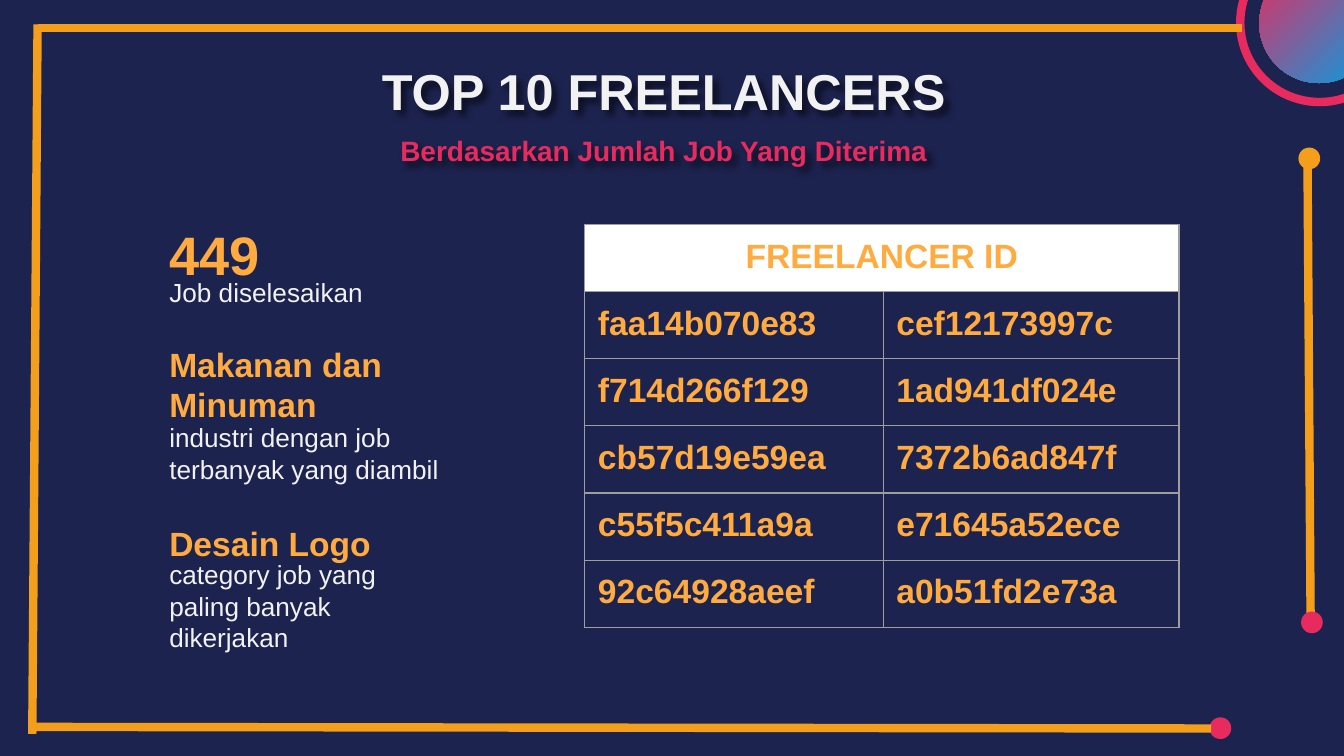
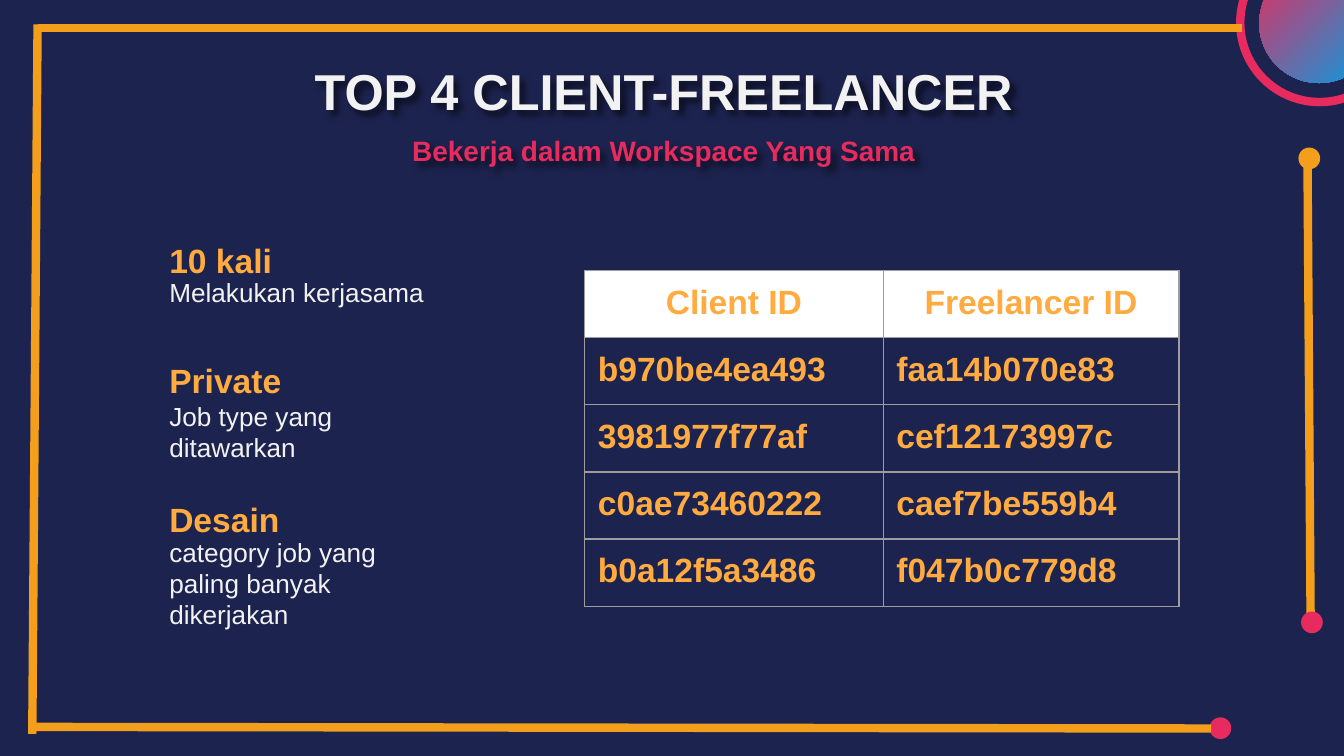
from lxml.etree import SubElement
from pptx import Presentation
from pptx.dml.color import RGBColor
from pptx.enum.shapes import MSO_CONNECTOR as Connector, MSO_SHAPE as Shape
from pptx.enum.text import MSO_ANCHOR as Anchor, MSO_AUTO_SIZE as AutoSize, PP_ALIGN as Align
from pptx.oxml.ns import qn
from pptx.util import Cm, Pt

NAVY = RGBColor(0x1D, 0x23, 0x4F)
ORANGE = RGBColor(0xF4, 0x9F, 0x1B)
AMBER = RGBColor(0xFF, 0xAB, 0x40)
PINK = RGBColor(0xE7, 0x2B, 0x5E)
BLUE = RGBColor(0x00, 0xA1, 0xE5)
PALE = RGBColor(0xF3, 0xF2, 0xF2)
WHITE = RGBColor(0xFF, 0xFF, 0xFF)
BORDER_HEX = "9E9E9E"

TITLE = dict(name="Arial", size=Pt(27), bold=True, color=PALE)
SUBTITLE = TITLE | dict(size=Pt(15), color=PINK)
HEADING = dict(name="Arial", size=Pt(18), bold=True, color=AMBER)
BIG_NUMBER = HEADING | dict(size=Pt(29))
CAPTION = dict(name="Arial", size=Pt(14), bold=False, color=PALE)

# Each stat: heading, its format, heading top, caption, caption top (cm)
SLIDES = [
    dict(
        title="TOP 10 FREELANCERS",
        subtitle="Berdasarkan Jumlah Job Yang Diterima",
        stats=[
            ("449", BIG_NUMBER, 3.94, "Job diselesaikan", 4.98),
            ("Makanan dan Minuman", HEADING, 6.25,
             "industri dengan job terbanyak yang diambil", 7.72),
            ("Desain Logo", HEADING, 9.63,
             "category job yang paling banyak dikerjakan", 10.31),
        ],
        table_top=4.24,
        header=["FREELANCER ID"],
        ids=[
            ("faa14b070e83", "cef12173997c"),
            ("f714d266f129", "1ad941df024e"),
            ("cb57d19e59ea", "7372b6ad847f"),
            ("c55f5c411a9a", "e71645a52ece"),
            ("92c64928aeef", "a0b51fd2e73a"),
        ],
    ),
    dict(
        title="TOP 4 CLIENT-FREELANCER",
        subtitle="Bekerja dalam Workspace Yang Sama",
        stats=[
            ("10 kali", HEADING, 4.29, "Melakukan kerjasama", 4.98),
            ("Private", HEADING, 6.55, "Job type yang ditawarkan", 7.32),
            ("Desain", HEADING, 9.19,
             "category job yang paling banyak dikerjakan", 9.88),
        ],
        table_top=5.11,
        header=["Client ID", "Freelancer ID"],
        ids=[
            ("b970be4ea493", "faa14b070e83"),
            ("3981977f77af", "cef12173997c"),
            ("c0ae73460222", "caef7be559b4"),
            ("b0a12f5a3486", "f047b0c779d8"),
        ],
    ),
]

# Heading width, caption width, caption height for each stat from the top (cm)
STAT_SIZES = [(3.71, 5.44, 1.12), (4.95, 5.79, 1.7), (5.18, 4.62, 2.31)]
STAT_LEFT, HEADING_HEIGHT = 2.95, 1.63
TABLE_LEFT, COLUMN_WIDTHS, ROW_HEIGHT = 11.05, (5.64, 5.59), 1.27
INSET = 0.25
MARGINS = ("margin_left", "margin_top", "margin_right", "margin_bottom")

RAIL = (24.77, 11.86, 24.71, 3.02)
FRAME = [
    (0.64, 13.74, 22.89, 13.77),
    (0.71, 0.53, 23.47, 0.53),
    (0.61, 13.87, 0.71, 0.46),
]
DOTS = [(24.54, 2.79, ORANGE), (24.59, 11.56, PINK), (22.86, 13.56, PINK)]
DOT_SIZE = 0.41


def write(paragraph, text, style, align=Align.LEFT):
    paragraph.alignment = align
    run = paragraph.add_run()
    run.text = text
    for key, value in style.items():
        if key == "color":
            run.font.color.rgb = value
        else:
            setattr(run.font, key, value)


def set_frame(frame):
    frame.word_wrap = True
    frame.auto_size = AutoSize.NONE
    frame.vertical_anchor = Anchor.TOP
    for margin in MARGINS:
        setattr(frame, margin, Cm(INSET))


def add_text(slide, text, style, *box):
    frame = slide.shapes.add_textbox(*map(Cm, box)).text_frame
    set_frame(frame)
    write(frame.paragraphs[0], text, style)


def add_title(slide, title, subtitle):
    holder = slide.shapes.title
    for side, length in dict(left=5.46, top=0.89, width=14.17, height=1.63).items():
        setattr(holder, side, Cm(length))
    frame = holder.text_frame
    set_frame(frame)
    write(frame.paragraphs[0], title, TITLE, Align.CENTER)
    second = frame.add_paragraph()
    second.space_before = Pt(7)
    write(second, subtitle, SUBTITLE, Align.CENTER)
    effects = SubElement(holder.element.spPr, qn("a:effectLst"))
    shadow = SubElement(effects, qn("a:outerShdw"), blurRad="50800", dist="38100",
                        dir="2700000", algn="tl", rotWithShape="0")
    black = SubElement(shadow, qn("a:srgbClr"), val="000000")
    SubElement(black, qn("a:alpha"), val="60000")


def add_circle(slide, left, top, size):
    circle = slide.shapes.add_shape(Shape.OVAL, Cm(left), Cm(top), Cm(size), Cm(size))
    circle.shadow.inherit = False
    circle.line.fill.background()
    return circle


def add_bar(slide, *ends):
    bar = slide.shapes.add_connector(Connector.STRAIGHT, *map(Cm, ends))
    bar.line.color.rgb = ORANGE
    bar.line.width = Pt(4.5)
    SubElement(bar.element.spPr, qn("a:effectLst"))


def add_decoration(slide):
    ring = add_circle(slide, 23.44, -1.07, 3)
    ring.fill.background()
    ring.line.color.rgb = PINK
    ring.line.width = Pt(4.5)
    add_bar(slide, *RAIL)
    disc = add_circle(slide, 23.8, -0.69, 2.26)
    disc.fill.gradient()
    disc.fill.gradient_angle = 135
    for stop, color in zip(disc.fill.gradient_stops, (BLUE, PINK)):
        stop.color.rgb = color
    for left, top, color in DOTS:
        dot = add_circle(slide, left, top, DOT_SIZE)
        dot.fill.solid()
        dot.fill.fore_color.rgb = color
    for ends in FRAME:
        add_bar(slide, *ends)


def add_stats(slide, stats):
    for stat, sizes in zip(stats, STAT_SIZES):
        heading, style, heading_top, caption, caption_top = stat
        heading_width, caption_width, caption_height = sizes
        add_text(slide, heading, style, STAT_LEFT, heading_top, heading_width, HEADING_HEIGHT)
        add_text(slide, caption, CAPTION, STAT_LEFT, caption_top, caption_width, caption_height)


def add_borders(cell):
    """Must run before the cell's fill is set, as borders come first in the XML."""
    properties = cell._tc.get_or_add_tcPr()
    for side in ("lnL", "lnR", "lnT", "lnB"):
        line = SubElement(properties, qn(f"a:{side}"), w=str(Pt(0.75)))
        SubElement(SubElement(line, qn("a:solidFill")), qn("a:srgbClr"), val=BORDER_HEX)


def add_id_table(slide, top, header, ids):
    rows = [header, *ids]
    table = slide.shapes.add_table(
        len(rows), len(COLUMN_WIDTHS), Cm(TABLE_LEFT), Cm(top),
        Cm(sum(COLUMN_WIDTHS)), Cm(ROW_HEIGHT * len(rows))).table
    table.horz_banding = False
    for column, width in zip(table.columns, COLUMN_WIDTHS):
        column.width = Cm(width)
    for row in table.rows:
        row.height = Cm(ROW_HEIGHT)
    for cell in table.iter_cells():
        add_borders(cell)
        cell.fill.background()
        for margin in MARGINS:
            setattr(cell, margin, Cm(INSET))
    for r, texts in enumerate(rows):
        for c, text in enumerate(texts):
            align = Align.LEFT if r else Align.CENTER
            write(table.cell(r, c).text_frame.paragraphs[0], text, HEADING, align)
    for cell in table.rows[0].cells:
        cell.fill.solid()
        cell.fill.fore_color.rgb = WHITE
    if len(header) == 1:
        table.cell(0, 0).merge(table.cell(0, len(COLUMN_WIDTHS) - 1))


def main():
    deck = Presentation()
    deck.slide_width, deck.slide_height = Cm(25.4), Cm(14.29)
    background = deck.slide_master.background.fill
    background.solid()
    background.fore_color.rgb = NAVY
    title_only = deck.slide_layouts.get_by_name("Title Only")
    for content in SLIDES:
        slide = deck.slides.add_slide(title_only)
        add_title(slide, content["title"], content["subtitle"])
        add_decoration(slide)
        add_stats(slide, content["stats"])
        add_id_table(slide, content["table_top"], content["header"], content["ids"])
    deck.save("out.pptx")


if __name__ == "__main__":
    main()
